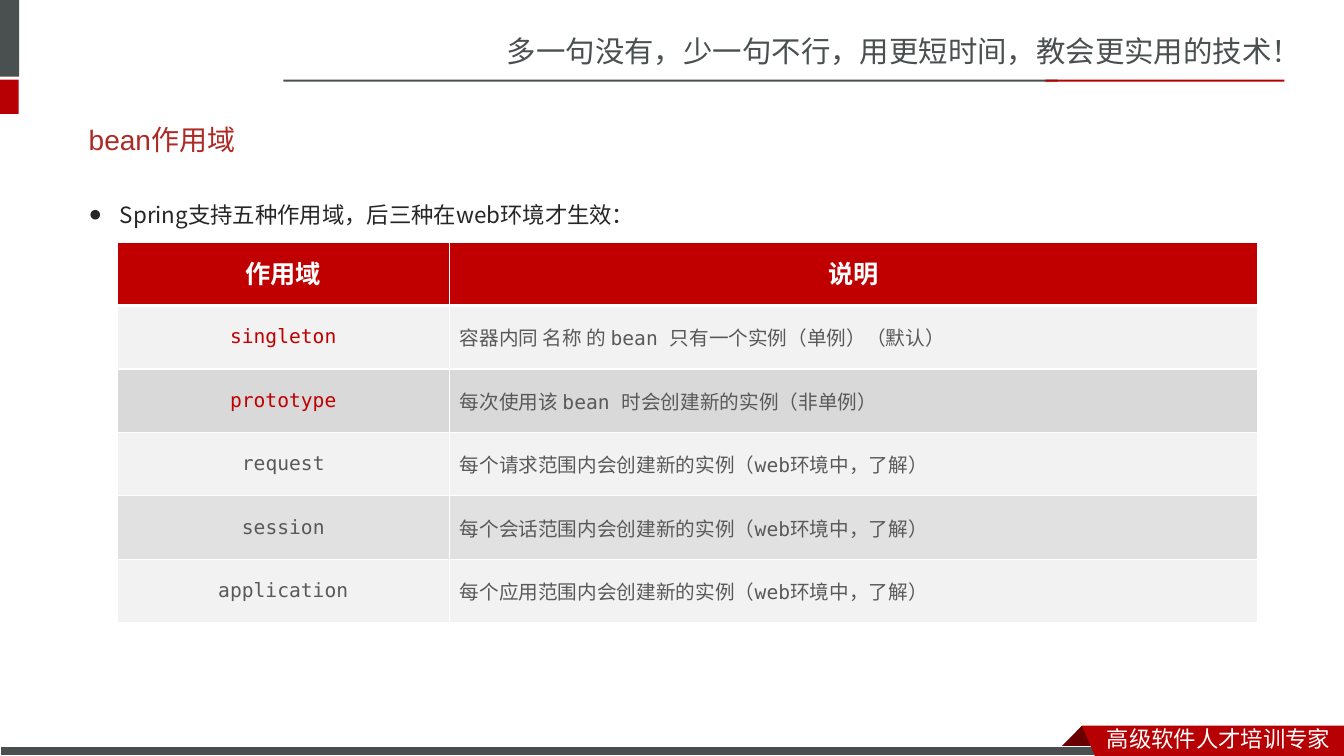
from lxml.etree import SubElement
from pptx import Presentation
from pptx.dml.color import RGBColor
from pptx.enum.shapes import MSO_SHAPE
from pptx.enum.text import MSO_ANCHOR, MSO_AUTO_SIZE, PP_ALIGN
from pptx.oxml import parse_xml
from pptx.oxml.ns import nsdecls, qn
from pptx.util import Inches, Pt

GREY, RED, DARK_RED, WHITE = "49504F", "B60004", "680000", "FFFFFF"
HEADER_RED, TEXT_GREY = "C00000", "595959"
LIGHT, MID, SOFT = "F2F2F2", "D9D9D9", "E1E1E1"
SANS, SANS_JP, MONO = "Noto Sans CJK SC", "Noto Sans CJK JP", "DejaVu Sans Mono"


def rgb(value):
    return RGBColor.from_string(value)


class SlideBuilder:
    """Draws on one slide; every length is a percentage of the slide's size."""

    def __init__(self, deck):
        self.deck = deck
        self.slide = deck.slides.add_slide(deck.slide_layouts[1])
        self.shapes = self.slide.shapes

    def x(self, share):
        return round(self.deck.slide_width * share / 100)

    def y(self, share):
        return round(self.deck.slide_height * share / 100)

    def box(self, left, top, width, height):
        return self.x(left), self.y(top), self.x(width), self.y(height)

    def paint(self, shape, fill, outline=None):
        shape.shadow.inherit = False
        shape.fill.solid()
        shape.fill.fore_color.rgb = rgb(fill)
        if outline:
            shape.line.color.rgb = rgb(outline)
            shape.line.width = Pt(0.75)
        else:
            shape.line.fill.background()

    def bar(self, area, fill, outline=None):
        self.paint(self.shapes.add_shape(MSO_SHAPE.RECTANGLE, *self.box(*area)), fill, outline)

    def polygon(self, corners, fill):
        start, *rest = [(self.x(across), self.y(down)) for across, down in corners]
        outline = self.shapes.build_freeform(*start, scale=1.0)
        outline.add_line_segments(rest, close=True)
        self.paint(outline.convert_to_shape(), fill)

    def set_text(self, frame, text, size, color, latin=SANS, asian=SANS,
                 align=PP_ALIGN.LEFT, bold=False):
        paragraph = frame.paragraphs[0]
        paragraph.text = text
        paragraph.alignment = align
        font = paragraph.font
        font.size, font.bold, font.name = Pt(size), bold, latin
        font.color.rgb = rgb(color)
        defaults = paragraph._p.pPr.find(qn("a:defRPr"))
        SubElement(defaults, qn("a:ea")).set("typeface", asian)
        return paragraph

    def label(self, area, text, size, color):
        frame = self.shapes.add_textbox(*self.box(*area)).text_frame
        frame.word_wrap = True
        self.set_text(frame, text, size, color)

    def place(self, placeholder, area, anchor):
        (placeholder.left, placeholder.top,
         placeholder.width, placeholder.height) = self.box(*area)
        frame = placeholder.text_frame
        frame.auto_size = MSO_AUTO_SIZE.NONE
        frame.vertical_anchor = anchor
        return frame

    def title(self, area, text):
        frame = self.place(self.shapes.title, area, MSO_ANCHOR.MIDDLE)
        self.set_text(frame, text, 20, "AD2A26", "Arial")

    def bullet(self, area, text):
        frame = self.place(self.slide.placeholders[1], area, MSO_ANCHOR.TOP)
        paragraph = self.set_text(frame, text, 16, "262626", SANS_JP, SANS_JP)
        paragraph.line_spacing = 1.5
        paragraph.space_before = Pt(3.2)
        properties = paragraph._p.pPr
        properties.set("marL", str(Inches(0.31)))
        properties.set("indent", str(-Inches(0.31)))
        defaults = properties.find(qn("a:defRPr"))
        for mark in ('buFont {} typeface="Arial"', 'buChar {} char="●"'):
            defaults.addprevious(parse_xml(f"<a:{mark.format(nsdecls('a'))}/>"))

    def borders(self, cell, top, bottom):
        properties = cell._tc.get_or_add_tcPr()
        sides = (("lnL", 1), ("lnR", 1), ("lnT", top), ("lnB", bottom))
        for position, (side, width) in enumerate(sides):
            properties.insert(position, parse_xml(
                f'<a:{side} {nsdecls("a")} w="{Pt(width)}"><a:solidFill>'
                f'<a:srgbClr val="{WHITE}"/></a:solidFill></a:{side}>'))

    def table(self, area, shares, header, rows):
        """Each row is (name, description, name colour, fill)."""
        lines = [(*header, WHITE, HEADER_RED), *rows]
        grid = self.shapes.add_table(len(lines), len(shares), *self.box(*area)).table
        for column, share in zip(grid.columns, shares):
            column.width = self.x(share)
        for r, (name, description, name_color, fill) in enumerate(lines):
            is_header = r == 0
            for c, text in enumerate((name, description)):
                cell = grid.cell(r, c)
                cell.vertical_anchor = MSO_ANCHOR.MIDDLE
                cell.fill.solid()
                cell.fill.fore_color.rgb = rgb(fill)
                self.borders(cell, 3 if r == 1 else 1, 3 if is_header else 1)
                centred = is_header or c == 0
                paragraph = self.set_text(
                    cell.text_frame, text, 18 if is_header else 14,
                    name_color if centred else TEXT_GREY, MONO,
                    align=PP_ALIGN.CENTER if centred else PP_ALIGN.LEFT, bold=is_header)
                if is_header:
                    paragraph.line_spacing = Pt(24)


def main():
    deck = Presentation()
    deck.slide_width, deck.slide_height = Inches(13.33), Inches(7.5)
    page = SlideBuilder(deck)

    page.label((36.98, 3.73, 63.02, 6.27),
               "多一句没有，少一句不行，用更短时间，教会更实用的技术！", 21, GREY)
    page.bar((0, 0, 1.43, 10.13), GREY)
    page.bar((0, 10.53, 1.39, 4.53), RED)
    page.bar((21.08, 10.53, 57.61, 0.27), GREY)
    page.bar((77.79, 10.53, 17.78, 0.27), RED)

    page.polygon([(80.5, 96), (82.15, 99), (78.84, 99)], DARK_RED)
    page.bar((0, 98.8, 82.44, 1.2), GREY, WHITE)
    page.polygon([(80.5, 96), (100, 96), (100, 100), (81.47, 100)], RED)
    page.label((81.62, 95.33, 18.38, 4.67), "高级软件人才培训专家", 16, WHITE)

    page.title((5.85, 14.67, 87.77, 7.6), "bean作用域")
    page.bullet((5.85, 24.13, 87.77, 7.6), "Spring支持五种作用域，后三种在web环境才生效：")

    web_scopes = [
        (scope, f"每个{span}范围内会创建新的实例（web环境中，了解）", TEXT_GREY, fill)
        for scope, span, fill in (("request", "请求", LIGHT), ("session", "会话", SOFT),
                                  ("application", "应用", LIGHT))]
    page.table((8.7, 32, 84.85, 50.4), (24.76, 60.09), ("作用域", "说明"), [
        ("singleton", "容器内同 名称 的 bean 只有一个实例（单例）（默认）", HEADER_RED, LIGHT),
        ("prototype", "每次使用该 bean 时会创建新的实例（非单例）", HEADER_RED, MID),
        *web_scopes])

    deck.save("out.pptx")


if __name__ == "__main__":
    main()
